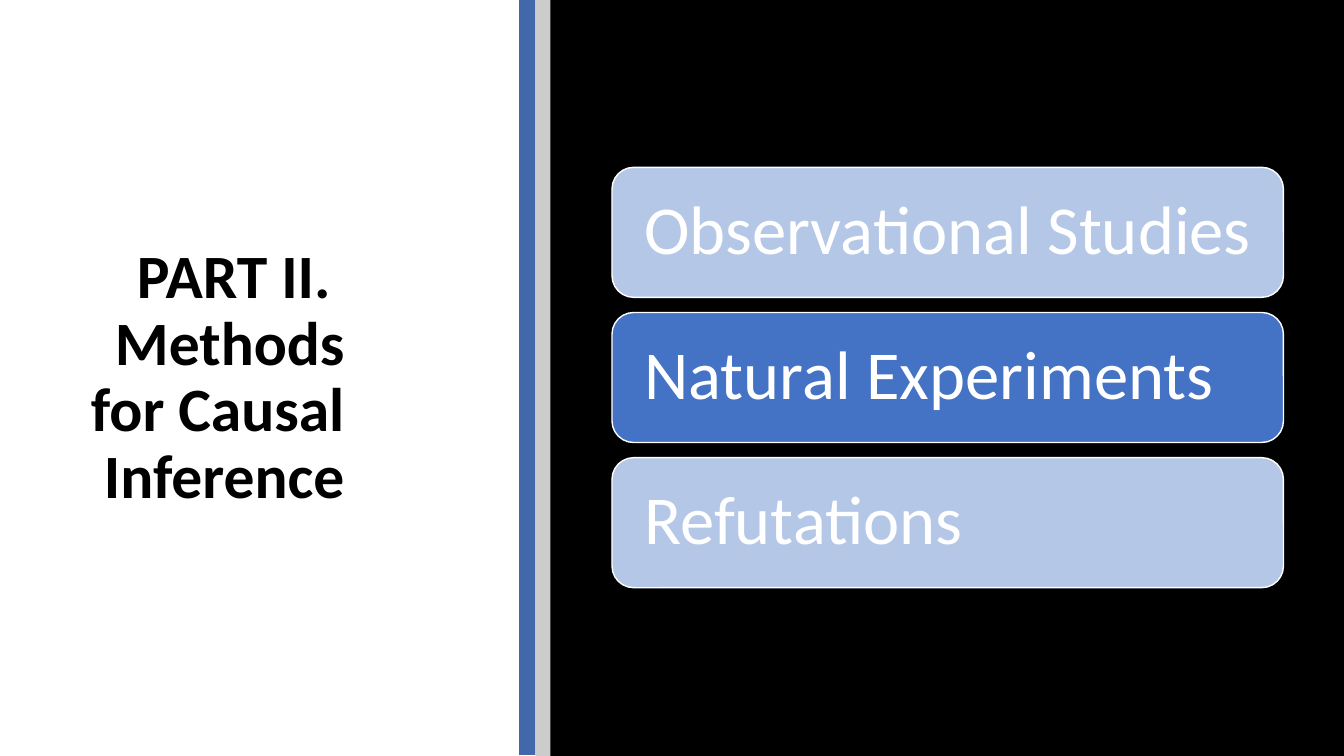
from pptx import Presentation
from pptx import util as u
from pptx.dml.color import RGBColor
from pptx.enum import shapes, text

BLACK = RGBColor(0x00, 0x00, 0x00)
WHITE = RGBColor(0xFF, 0xFF, 0xFF)
GREY = RGBColor(0xCC, 0xCC, 0xCC)
STRIPE_BLUE = RGBColor(0x43, 0x68, 0xAA)
ACTIVE_BLUE = RGBColor(0x44, 0x72, 0xC4)
PALE_BLUE = RGBColor(0xB4, 0xC7, 0xE7)


class SectionSlide:
    """Holds the style and the current slide."""

    font_name = "Calibri"
    line_spacing = 0.9

    def __init__(self, presentation):
        self.slide = presentation.slides.add_slide(presentation.slide_layouts[5])

    def set_text(self, shape, words, size, color, bold, alignment, inset):
        frame = shape.text_frame
        frame.text = words
        margins = dict.fromkeys(
            ("margin_left", "margin_right", "margin_top", "margin_bottom"))
        margins.update(zip(margins, map(u.Inches, inset)))
        frame_format = {
            "word_wrap": True,
            "auto_size": text.MSO_AUTO_SIZE.NONE,
            "vertical_anchor": text.MSO_ANCHOR.MIDDLE,
            **margins,
        }
        for name, value in frame_format.items():
            setattr(frame, name, value)
        paragraph = frame.paragraphs[0]
        paragraph.alignment = alignment
        paragraph.line_spacing = self.line_spacing
        for run in paragraph.runs:
            font_format = {"name": self.font_name, "size": u.Pt(size), "bold": bold}
            for name, value in font_format.items():
                setattr(run.font, name, value)
            run.font.color.rgb = color

    def title(self, words, left, top, width, height):
        shape = self.slide.shapes.title
        place = {"left": left, "top": top, "width": width, "height": height}
        for name, value in place.items():
            setattr(shape, name, u.Inches(value))
        self.set_text(shape, words, 44, BLACK, True, text.PP_ALIGN.RIGHT,
                      (0.1, 0.1, 0.05, 0.05))

    def block(self, kind, left, top, width, height, fill, line=None):
        shape = self.slide.shapes.add_shape(
            kind, *map(u.Inches, (left, top, width, height)))
        shape.shadow.inherit = False
        shape.fill.solid()
        shape.fill.fore_color.rgb = fill
        if line is None:
            shape.line.fill.background()
        else:
            shape.line.color.rgb = line
            shape.line.width = u.Pt(1)
        return shape

    def band(self, left, top, width, fill):
        self.block(shapes.MSO_SHAPE.RECTANGLE, left, top, width, 7.5, fill)

    def topic(self, words, left, top, width, height, fill):
        shape = self.block(shapes.MSO_SHAPE.ROUNDED_RECTANGLE,
                           left, top, width, height, fill, WHITE)
        self.set_text(shape, words, 49, WHITE, False, text.PP_ALIGN.LEFT,
                      (0.26, 0.26, 0.2, 0.2))


def main():
    presentation = Presentation()
    presentation.slide_width = u.Inches(13.33)
    presentation.slide_height = u.Inches(7.5)
    section = SectionSlide(presentation)

    # Section title
    section.title("PART II. \vMethods for Causal Inference", 0.4, 1.06, 3.12, 5.39)

    # Vertical stripes and dark panel
    section.band(5.15, -0.01, 0.16, STRIPE_BLUE)
    section.band(5.31, 0, 0.16, GREY)
    section.band(5.46, 0, 7.87, BLACK)

    # Topics, with the current one highlighted
    topics = ["Observational Studies", "Natural Experiments", "Refutations"]
    current = "Natural Experiments"
    for row, words in enumerate(topics):
        fill = ACTIVE_BLUE if words == current else PALE_BLUE
        section.topic(words, 6.07, 1.66 + 1.44 * row, 6.66, 1.29, fill)

    presentation.save("out.pptx")


if __name__ == "__main__":
    main()
